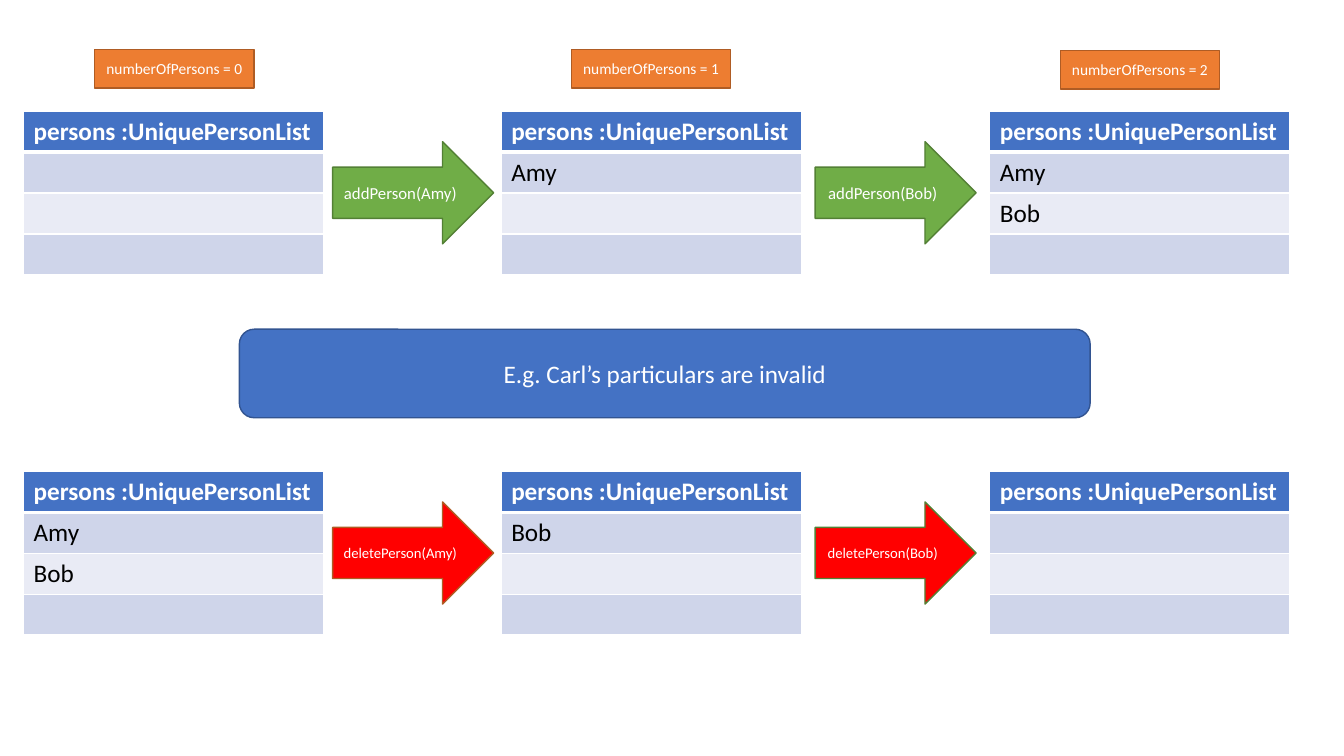
from lxml import etree
from pptx import Presentation
from pptx.dml.color import RGBColor
from pptx.enum.shapes import MSO_SHAPE
from pptx.enum.text import MSO_ANCHOR, PP_ALIGN
from pptx.oxml.ns import qn
from pptx.util import Pt

RECTANGLE = MSO_SHAPE.RECTANGLE
ROUNDED = MSO_SHAPE.ROUNDED_RECTANGLE
ARROW = MSO_SHAPE.RIGHT_ARROW
CENTER = PP_ALIGN.CENTER
LEFT = PP_ALIGN.LEFT
MIDDLE = MSO_ANCHOR.MIDDLE

WHITE = RGBColor(0xFF, 0xFF, 0xFF)
BLACK = RGBColor(0x00, 0x00, 0x00)
BLUE = RGBColor(0x44, 0x72, 0xC4)
DARK_BLUE = RGBColor(0x32, 0x54, 0x91)
BAND_DARK = RGBColor(0xCF, 0xD5, 0xEA)
BAND_LIGHT = RGBColor(0xE9, 0xEB, 0xF5)
GREEN = RGBColor(0x70, 0xAD, 0x47)
DARK_GREEN = RGBColor(0x53, 0x80, 0x35)
ORANGE = RGBColor(0xED, 0x7D, 0x31)
DARK_ORANGE = RGBColor(0xAF, 0x5C, 0x24)
RED = RGBColor(0xFF, 0x00, 0x00)

LIST_WIDTH = 214.4
ROW_HEIGHT = 29.2
LIST_LEFTS = [16.8, 358, 707]
ARROW_LEFTS = [237.6, 582.2]
ADD_TOP = 79.5
DELETE_TOP = 336.8


def write(frame, text, size=18, color=WHITE, bold=False, align=CENTER):
    paragraph = frame.paragraphs[0]
    paragraph.alignment = align
    run = paragraph.add_run()
    run.text = text
    run.font.name = "Calibri"
    run.font.size = Pt(size)
    run.font.bold = bold
    run.font.color.rgb = color


def add_label(kind, left, top, width, height, fill, outline, text, size):
    label = slide.shapes.add_shape(kind, Pt(left), Pt(top), Pt(width), Pt(height))
    label.shadow.inherit = False
    label.fill.solid()
    label.fill.fore_color.rgb = fill
    label.line.color.rgb = outline
    label.line.width = Pt(1)
    label.text_frame.vertical_anchor = MIDDLE
    write(label.text_frame, text, size=size)


prs = Presentation()
prs.slide_width = Pt(960)
prs.slide_height = Pt(540)
slide = prs.slides.add_slide(prs.slide_layouts[6])

person_lists = [
    (ADD_TOP, [[], ["Amy"], ["Amy", "Bob"]]),
    (DELETE_TOP, [["Amy", "Bob"], ["Bob"], []]),
]
for top, stages in person_lists:
    for left, persons in zip(LIST_LEFTS, stages):
        person_list = slide.shapes.add_table(
            4, 1, Pt(left), Pt(top), Pt(LIST_WIDTH), Pt(4 * ROW_HEIGHT)
        ).table
        for row in range(4):
            cell = person_list.cell(row, 0)
            if row == 0:
                write(cell.text_frame, "persons :UniquePersonList", bold=True, align=LEFT)
            elif row <= len(persons):
                write(cell.text_frame, persons[row - 1], color=BLACK, align=LEFT)
            properties = cell._tc.get_or_add_tcPr()
            for side in ("L", "R", "T", "B"):
                thick = (row, side) in [(0, "B"), (1, "T")]
                border = etree.SubElement(properties, qn(f"a:ln{side}"), w=str(Pt(3 if thick else 1)))
                border_fill = etree.SubElement(border, qn("a:solidFill"))
                etree.SubElement(border_fill, qn("a:srgbClr"), val=str(WHITE))
            cell.fill.solid()
            cell.fill.fore_color.rgb = [BLUE, BAND_DARK, BAND_LIGHT, BAND_DARK][row]

for count, (left, top) in enumerate([(67.7, 35.4), (408.2, 35.4), (757.4, 36)]):
    add_label(RECTANGLE, left, top, 113.8, 27.5, ORANGE, DARK_ORANGE,
              f"numberOfPersons = {count}", 11)

steps = [
    (ADD_TOP, "addPerson", 12, GREEN, [DARK_GREEN, DARK_GREEN]),
    (DELETE_TOP, "deletePerson", 10.5, RED, [DARK_ORANGE, DARK_GREEN]),
]
for top, method, size, fill, outlines in steps:
    for left, person, outline in zip(ARROW_LEFTS, ["Amy", "Bob"], outlines):
        add_label(ARROW, left, top + 21.7, 115, 73, fill, outline,
                  f"{method}({person})", size)

add_label(ROUNDED, 171, 235.2, 607.7, 63.2, BLUE, DARK_BLUE,
          "E.g. Carl’s particulars are invalid", 18)

prs.save("out.pptx")
